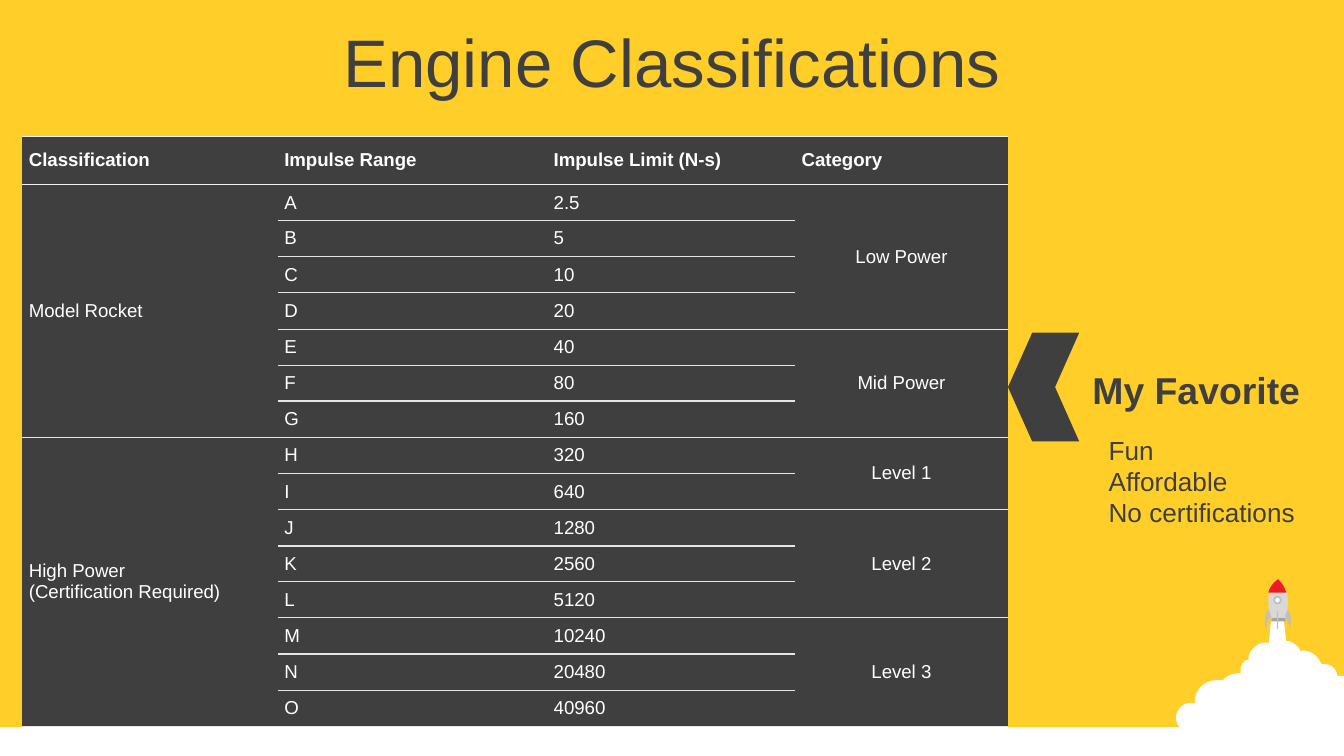
from lxml.etree import SubElement as Sub
from pptx import Presentation
from pptx.dml.color import RGBColor as RGB
from pptx.enum.shapes import MSO_SHAPE as Kind
from pptx.enum.text import MSO_ANCHOR as Anchor, MSO_AUTO_SIZE as Auto, PP_ALIGN as Align
from pptx.oxml import parse_xml
from pptx.oxml.ns import nsdecls, qn
from pptx.util import Pt

PX = 4572
STEP = 2 * PX
HUES = {
    "sun": "FFCE29", "dark": "3F3F3F", "white": "FFFFFF", "rule": "E5E5E5", "head": "F2F2F2",
    "hull": "D8D8D8", "band": "A5A5A5", "nose": "ED1C24", "fin": "BFBFBF",
}
CLOUD = [
    (946, 459), (955, 459), (957, 477), (959, 477), (962, 478, 965, 480, 967, 483),
    (968, 485), (969, 484), (975, 484, 981, 488, 983, 494), (984, 494),
    (990, 494, 994, 497, 995, 502), (995, 503), (1000, 503), (1000, 560), (998, 560),
    (994, 560, 990, 559, 987, 557), (986, 556), (985, 557), (983, 558, 981, 559, 978, 559),
    (975, 559, 973, 557, 971, 555), (969, 554), (969, 555), (967, 558, 964, 559, 960, 559),
    (957, 559, 954, 558, 952, 556), (951, 555), (949, 556), (945, 559, 940, 561, 934, 561),
    (923, 561, 917, 556, 913, 551), (911, 553, 907, 554, 904, 553),
    (900, 552, 894, 550, 893, 545), (893, 543), (892, 544), (891, 545, 889, 545, 886, 545),
    (880, 545, 875, 540, 875, 534), (875, 528, 880, 523, 886, 523),
    (887, 523, 888, 523, 888, 523), (889, 524), (889, 522), (889, 513, 896, 506, 906, 506),
    (907, 506, 908, 506, 909, 506), (910, 506), (911, 505), (914, 502, 918, 501, 923, 501),
    (923, 499), (923, 495, 925, 492, 928, 491), (929, 491), (929, 489),
    (930, 483, 936, 478, 942, 478), (944, 479),
]
HULL = [(946, 462), (944, 453, 940, 440, 951, 431), (962, 441, 958, 454, 956, 462)]
NOSE = [(951, 431), (954, 434, 956, 437, 957, 441), (944, 441), (944, 440),
        (945, 437, 947, 434, 951, 431)]
LEFT = [(944, 454), (946, 459), (942, 461, 943, 466, 942, 468), (941, 465, 940, 457, 944, 454)]
RIGHT = [(958, 454), (956, 459), (959, 461, 959, 466, 960, 468), (960, 465, 962, 457, 958, 454)]
HEADS = ["Classification", "Impulse Range", "Impulse Limit (N-s)", "Category"]
LETTERS = "ABCDEFGHIJKLMNO"
SPANS = {
    0: [(7, "Model Rocket"), (8, "High Power\n(Certification Required)")],
    3: [(4, "Low Power"), (3, "Mid Power"), (2, "Level 1"), (3, "Level 2"), (3, "Level 3")],
}


def trace(steps):
    dots = [steps[0]]
    for step in steps[1:]:
        if len(step) == 2:
            dots.append(step)
            continue
        ends = [dots[-1], step[:2], step[2:4], step[4:]]
        for t in (n / 8 for n in range(1, 9)):
            mix = ((1 - t) ** 3, 3 * t * (1 - t) ** 2, 3 * t * t * (1 - t), t ** 3)
            dots.append(tuple(sum(m * e[k] for m, e in zip(mix, ends)) for k in (0, 1)))
    return [(x * STEP, y * STEP) for x, y in dots]


class Deck:
    """Holds the style and the current slide, and draws each kind of element."""

    def __init__(self, wide, high, font):
        self.show = Presentation()
        self.show.slide_width, self.show.slide_height = wide * PX, high * PX
        self.slide = self.show.slides.add_slide(self.show.slide_layouts[6])
        self.shapes = self.slide.shapes
        self.font = font

    def hue(self, name):
        return RGB.from_string(HUES[name])

    def back(self, name):
        fill = self.slide.background.fill
        fill.solid()
        fill.fore_color.rgb = self.hue(name)

    def paint(self, shape, name, line=None):
        shape.shadow.inherit = False
        shape.fill.solid()
        shape.fill.fore_color.rgb = self.hue(name)
        if line:
            shape.line.color.rgb = self.hue(line)
            shape.line.width = Pt(1)
        else:
            shape.line.fill.background()
        return shape

    def shape(self, kind, box, name, line=None):
        return self.paint(self.shapes.add_shape(kind, *(n * PX for n in box)), name, line)

    def free(self, steps, name):
        dots = trace(steps)
        pen = self.shapes.build_freeform(*dots[0], scale=1.0)
        pen.add_line_segments(dots[1:], close=True)
        return self.paint(pen.convert_to_shape(), name)

    def style(self, frame, size, name, bold=False, align=Align.LEFT):
        for para in frame.paragraphs:
            para.alignment = align
            for run in para.runs:
                run.font.name, run.font.size, run.font.bold = self.font, Pt(size), bold
                run.font.color.rgb = self.hue(name)

    def text(self, box, words, size, pad=20, anchor=Anchor.TOP, grow=False, **look):
        frame = self.shapes.add_textbox(*(n * PX for n in box)).text_frame
        frame.word_wrap = True
        frame.auto_size = Auto.SHAPE_TO_FIT_TEXT if grow else Auto.NONE
        frame.vertical_anchor = anchor
        frame.margin_left = frame.margin_right = 20 * PX
        frame.margin_top = frame.margin_bottom = pad * PX
        frame.text = words
        self.style(frame, size, "dark", **look)

    def edges(self, cell, top, base):
        props = cell._tc.get_or_add_tcPr()
        for n, (side, name) in enumerate(zip("LRTB", (None, None, top, base))):
            line = parse_xml(f'<a:ln{side} {nsdecls("a")} w="9525"/>')
            if name:
                Sub(Sub(line, qn("a:solidFill")), qn("a:srgbClr"), val=HUES[name])
            else:
                Sub(line, qn("a:noFill"))
            props.insert(n, line)

    def table(self, left, top, cols, rows, cells, spans):
        grid = self.shapes.add_table(len(rows), len(cols), left * PX, top * PX,
                                     sum(cols) * PX, sum(rows) * PX).table
        grid.first_row = grid.horz_banding = False
        for col, wide in zip(grid.columns, cols):
            col.width = wide * PX
        for row, high in zip(grid.rows, rows):
            row.height = high * PX
        for c, groups in spans.items():
            r = 1
            for count, words in groups:
                grid.cell(r, c).merge(grid.cell(r + count - 1, c))
                cells[r][c] = words
                r += count
        for r, line in enumerate(cells):
            for c, words in enumerate(line):
                cell = grid.cell(r, c)
                cell.margin_left = cell.margin_right = 10 * PX
                cell.margin_top = cell.margin_bottom = (10 if r else 20) * PX
                cell.vertical_anchor = Anchor.MIDDLE
                cell.fill.solid()
                cell.fill.fore_color.rgb = self.hue("dark")
                if cell.is_spanned:
                    self.edges(cell, None, None)
                    continue
                self.edges(cell, "head" if r < 2 else "rule", "rule" if r else "head")
                cell.text_frame.text = words
                self.style(cell.text_frame, 10, "white", bold=r == 0,
                           align=Align.CENTER if r and c == 3 else Align.LEFT)


def main():
    deck = Deck(2000, 1125, "Arial")
    deck.back("sun")
    deck.shape(Kind.RECTANGLE, (0, 1082, 2000, 43), "white")
    deck.free(CLOUD, "white")
    deck.free(HULL, "hull")
    deck.shape(Kind.RECTANGLE, (1892, 920, 21, 5), "band")
    deck.free(NOSE, "nose")
    deck.shape(Kind.OVAL, (1896, 888, 10, 10), "white", "fin")
    deck.shape(Kind.RECTANGLE, (1900, 910, 2, 26), "fin")
    deck.free(LEFT, "fin")
    deck.free(RIGHT, "fin")
    deck.text((0, 28, 2000, 126), "Engine Classifications", 36, pad=10,
              anchor=Anchor.MIDDLE, align=Align.CENTER)
    count = len(LETTERS)
    cells = [HEADS] + [["", mark, f"{2.5 * 2 ** n:g}", ""] for n, mark in enumerate(LETTERS)]
    rows = [72] + [807 * (n + 1) // count - 807 * n // count for n in range(count)]
    deck.table(33, 203, [380, 401, 369, 317], rows, cells, SPANS)
    arrow = deck.shape(Kind.CHEVRON, (1500, 495, 106, 162), "dark")
    arrow.adjustments[0] = 0.34
    arrow.rotation = 180
    deck.text((1606, 526, 394, 108), "My Favorite", 20, grow=True, bold=True)
    deck.text((1630, 626, 370, 182), "Fun\nAffordable\nNo certifications", 14, grow=True)
    deck.show.save("out.pptx")


if __name__ == "__main__":
    main()
